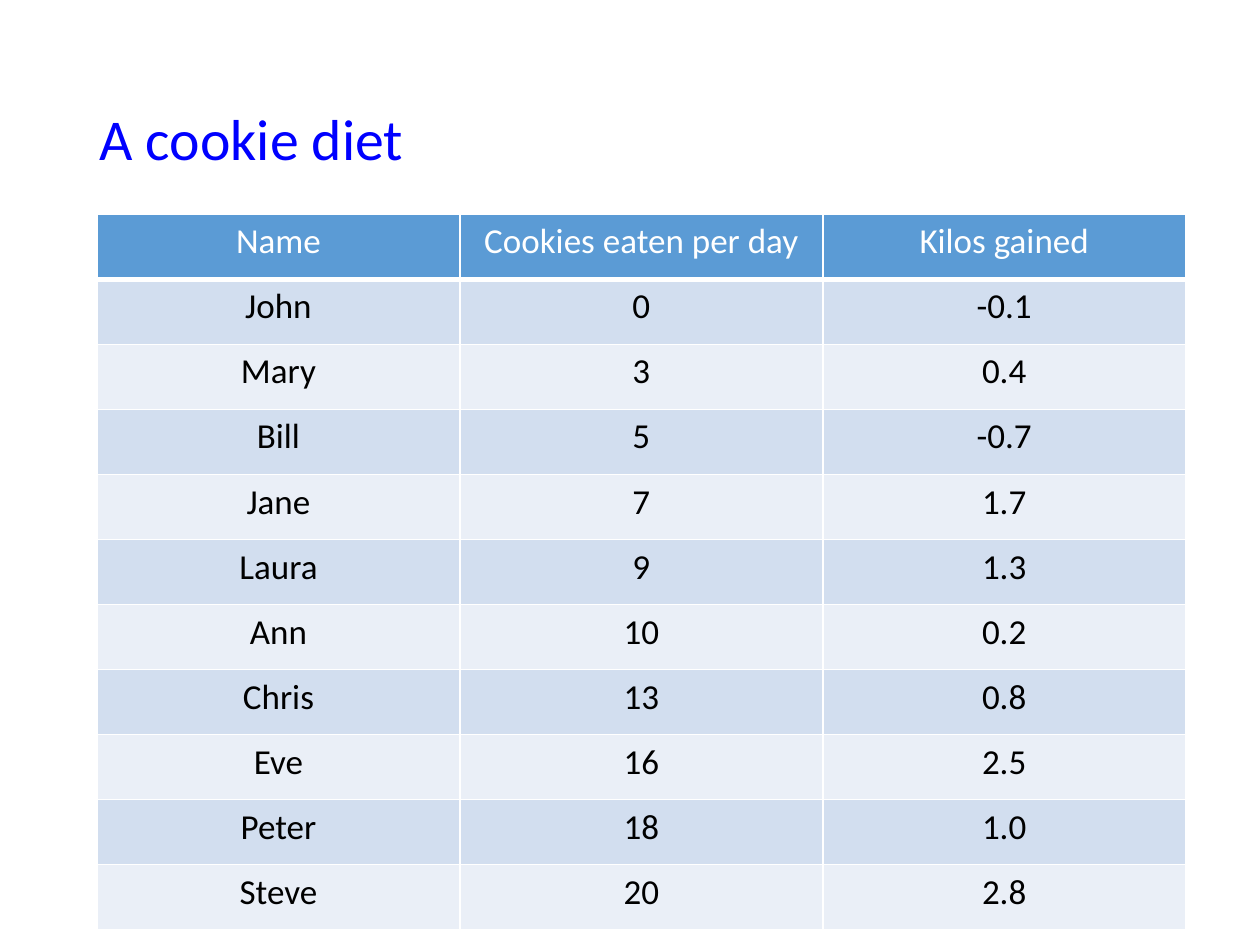
"""Build the cookie diet slide: a title above a table of cookies and kilos."""
from dataclasses import dataclass

from lxml import etree
from pptx import Presentation
from pptx import util as u
from pptx.dml.color import RGBColor
from pptx.enum import text
from pptx.oxml import ns


@dataclass(frozen=True)
class Theme:
    font: str = "Calibri"
    title_size: u.Pt = u.Pt(33)
    cell_size: u.Pt = u.Pt(20)
    border: u.Pt = u.Pt(1)
    header_rule: u.Pt = u.Pt(3)
    title: str = "0000FF"
    header: str = "5B9BD5"
    bands: tuple[str, str] = ("D2DEEF", "EAEFF7")
    light: str = "FFFFFF"
    dark: str = "000000"


@dataclass(frozen=True)
class Box:
    left: u.Inches
    top: u.Inches
    width: u.Inches
    height: u.Inches


@dataclass(frozen=True)
class Dieter:
    name: str
    cookies: int
    kilos: float

    def labels(self) -> tuple[str, str, str]:
        return self.name, str(self.cookies), f"{self.kilos:.1f}"


THEME = Theme()
TITLE_BOX = Box(u.Inches(0.69), u.Inches(0.4), u.Inches(8.62), u.Inches(1.45))
TABLE_BOX = Box(u.Inches(0.77), u.Inches(1.7), u.Inches(8.64), u.Inches(5.68))
HEADINGS = ("Name", "Cookies eaten per day", "Kilos gained")
DIETERS = (
    Dieter("John", 0, -0.1),
    Dieter("Mary", 3, 0.4),
    Dieter("Bill", 5, -0.7),
    Dieter("Jane", 7, 1.7),
    Dieter("Laura", 9, 1.3),
    Dieter("Ann", 10, 0.2),
    Dieter("Chris", 13, 0.8),
    Dieter("Eve", 16, 2.5),
    Dieter("Peter", 18, 1.0),
    Dieter("Steve", 20, 2.8),
)


def style_paragraph(paragraph, size: u.Pt, color: str) -> None:
    paragraph.font.name = THEME.font
    paragraph.font.size = size
    paragraph.font.bold = False
    paragraph.font.color.rgb = RGBColor.from_string(color)


def add_title(slide, box: Box, wording: str) -> None:
    shape = slide.shapes.add_textbox(box.left, box.top, box.width, box.height)
    frame = shape.text_frame
    frame.word_wrap = True
    frame.vertical_anchor = text.MSO_ANCHOR.MIDDLE
    paragraph = frame.paragraphs[0]
    paragraph.text = wording
    paragraph.line_spacing = 0.9
    style_paragraph(paragraph, THEME.title_size, THEME.title)


def set_borders(cell, bottom: u.Pt) -> None:
    properties = cell._tc.get_or_add_tcPr()
    widths = {"lnL": THEME.border, "lnR": THEME.border, "lnT": THEME.border, "lnB": bottom}
    for side, width in widths.items():
        line = etree.SubElement(properties, ns.qn(f"a:{side}"), w=str(int(width)))
        fill = etree.SubElement(line, ns.qn("a:solidFill"))
        etree.SubElement(fill, ns.qn("a:srgbClr"), val=THEME.light)


def fill_cell(cell, wording: str, row: int) -> None:
    is_header = row == 0
    set_borders(cell, THEME.header_rule if is_header else THEME.border)
    background = THEME.header if is_header else THEME.bands[(row - 1) % 2]
    cell.fill.solid()
    cell.fill.fore_color.rgb = RGBColor.from_string(background)
    paragraph = cell.text_frame.paragraphs[0]
    paragraph.text = wording
    paragraph.alignment = text.PP_ALIGN.CENTER
    style_paragraph(paragraph, THEME.cell_size, THEME.light if is_header else THEME.dark)


def add_diet_table(slide, box: Box, rows: list[tuple[str, ...]]) -> None:
    table = slide.shapes.add_table(
        len(rows), len(HEADINGS), box.left, box.top, box.width, box.height
    ).table
    for row, labels in enumerate(rows):
        for column, wording in enumerate(labels):
            fill_cell(table.cell(row, column), wording, row)


def main() -> None:
    presentation = Presentation()
    presentation.slide_width = u.Inches(10)
    presentation.slide_height = u.Inches(7.5)
    slide = presentation.slides.add_slide(presentation.slide_layouts[6])
    add_title(slide, TITLE_BOX, "A cookie diet")
    add_diet_table(slide, TABLE_BOX, [HEADINGS, *(dieter.labels() for dieter in DIETERS)])
    presentation.save("out.pptx")


if __name__ == "__main__":
    main()
